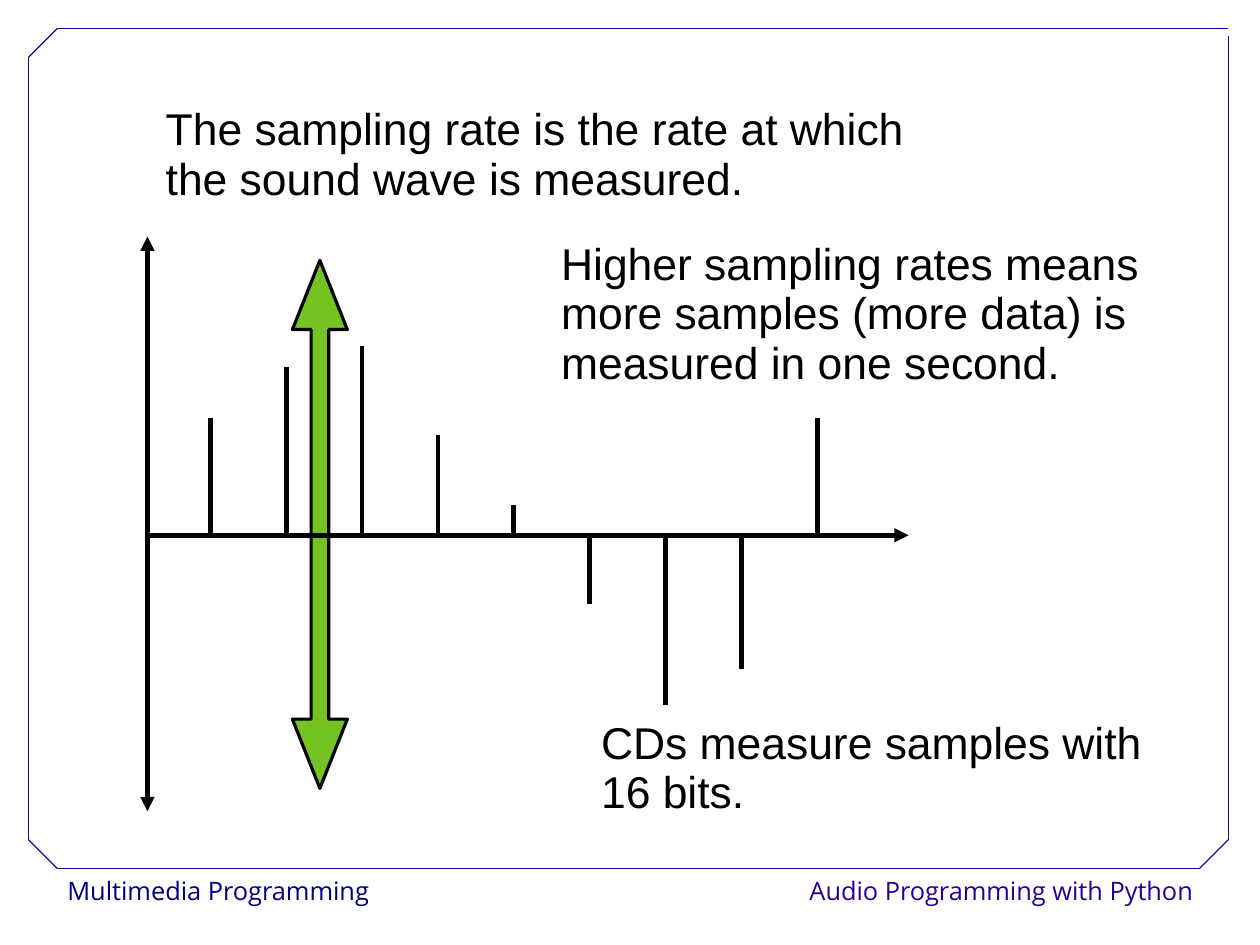
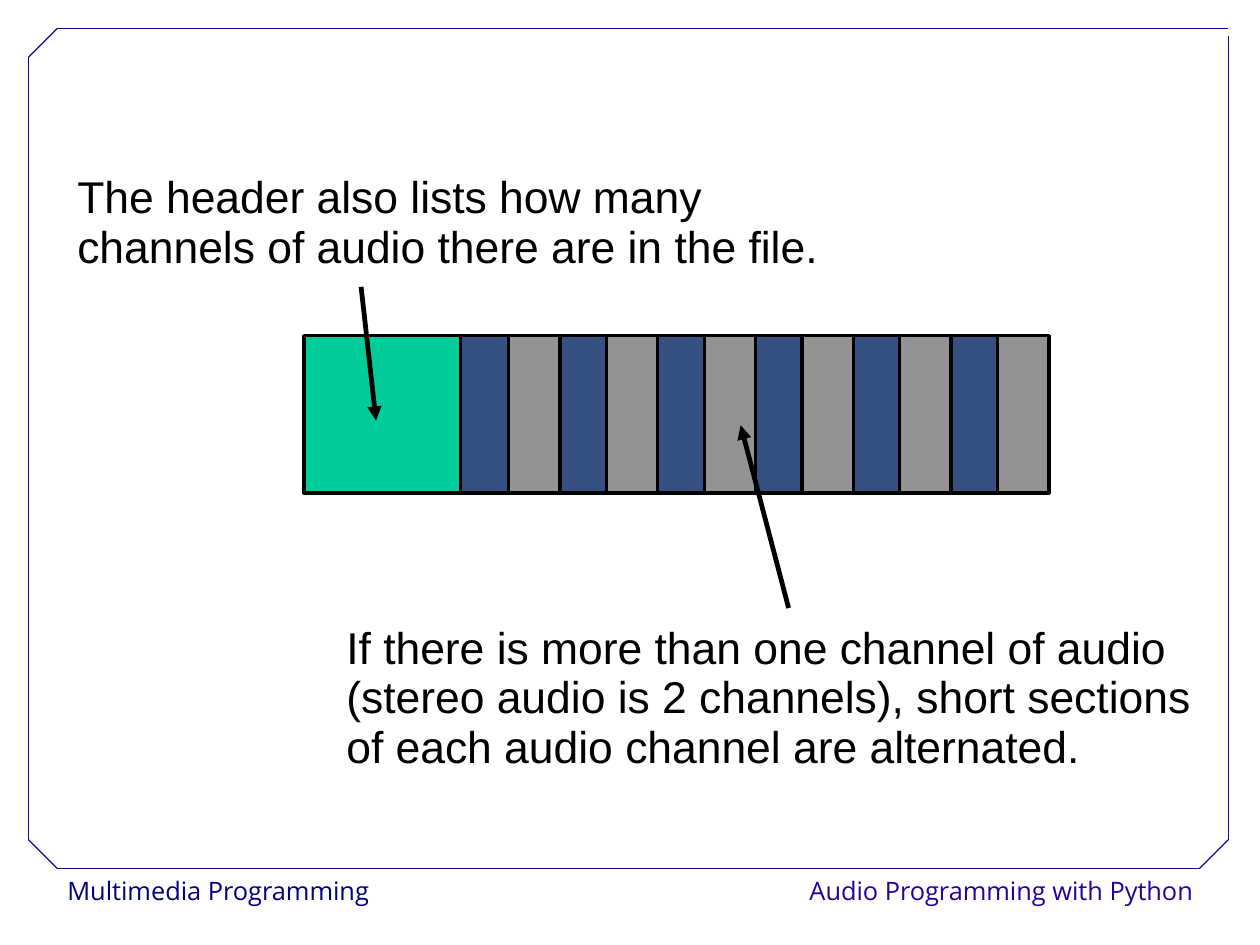
from dataclasses import dataclass
from itertools import pairwise

from lxml.etree import SubElement
from pptx import Presentation
from pptx.dml.color import RGBColor
from pptx.enum.shapes import MSO_CONNECTOR, MSO_SHAPE
from pptx.enum.text import MSO_ANCHOR, MSO_AUTO_SIZE, PP_ALIGN
from pptx.oxml.ns import qn
from pptx.util import Pt


@dataclass(frozen=True)
class Theme:
    ink: RGBColor = RGBColor.from_string("000000")
    frame: RGBColor = RGBColor.from_string("280099")
    course: RGBColor = RGBColor.from_string("000080")
    amplitude: RGBColor = RGBColor.from_string("75C223")
    header: RGBColor = RGBColor.from_string("00CC99")
    first_channel: RGBColor = RGBColor.from_string("365082")
    second_channel: RGBColor = RGBColor.from_string("939393")
    body_font: str = "Arial"
    footer_font: str = "Open Sans"
    body_size: int = 28
    footer_size: int = 16
    body_spacing: float = 0.93
    footer_spacing: float = 1.02
    frame_width: float = 0.75
    outline_width: float = 2
    line_width: float = 3


theme = Theme()


def add_line(slide, start, end, color=theme.ink, width=theme.line_width, arrows=()):
    line = slide.shapes.add_connector(
        MSO_CONNECTOR.STRAIGHT, *(Pt(value) for value in (*start, *end))
    )
    line.line.color.rgb = color
    line.line.width = Pt(width)
    properties = line.element.spPr
    for arrow in arrows:
        SubElement(properties.find(qn("a:ln")), qn(f"a:{arrow}")).set("type", "triangle")
    SubElement(properties, qn("a:effectLst"))
    return line


def write_text(shape, box, text, font=theme.body_font, size=theme.body_size,
               color=theme.ink, spacing=theme.body_spacing, align=PP_ALIGN.LEFT):
    shape.left, shape.top, shape.width, shape.height = (Pt(value) for value in box)
    frame = shape.text_frame
    frame.word_wrap = True
    frame.auto_size = MSO_AUTO_SIZE.NONE
    frame.vertical_anchor = MSO_ANCHOR.MIDDLE
    frame.margin_left = frame.margin_right = frame.margin_top = frame.margin_bottom = 0
    paragraph = frame.paragraphs[0]
    paragraph.alignment = align
    paragraph.line_spacing = spacing
    run = paragraph.add_run()
    run.text = text
    run.font.name = font
    run.font.size = Pt(size)
    run.font.color.rgb = color


presentation = Presentation()
presentation.slide_width = Pt(793.75)
presentation.slide_height = Pt(595.25)
layout = presentation.slide_layouts.get_by_name("Title Only")
sampling_slide = presentation.slides.add_slide(layout)
channel_slide = presentation.slides.add_slide(layout)

frame_corners = [(773.75, 18), (36, 18), (18, 36), (18, 529),
                 (36, 547), (755.75, 547), (773.75, 529), (773.75, 23)]
shared_shapes = [
    add_line(sampling_slide, start, end, theme.frame, theme.frame_width)
    for start, end in pairwise(frame_corners)
]
footers = [
    (42.5, "Multimedia Programming", theme.course, PP_ALIGN.LEFT),
    (491.7, "Audio Programming with Python", theme.frame, PP_ALIGN.RIGHT),
]
for left, text, color, align in footers:
    footer = sampling_slide.shapes.add_textbox(0, 0, 0, 0)
    write_text(footer, (left, 546, 260, 28.8), text, theme.footer_font,
               theme.footer_size, color, theme.footer_spacing, align)
    shared_shapes.append(footer)
for number, shape in enumerate(shared_shapes, start=20):
    shape.element.xpath(".//p:cNvPr")[0].set("id", str(number))
    layout.shapes.element.append(shape.element)

write_text(sampling_slide.shapes.title, (104.4, 63.8, 496.8, 68.4),
           "The sampling rate is the rate at which the sound wave is measured.")
sampling_notes = [
    ((353.5, 148.3, 368, 100),
     "Higher sampling rates means more samples (more data) is measured in one second."),
    ((378.7, 433, 348.5, 103), "CDs measure samples with 16 bits."),
]
for box, text in sampling_notes:
    write_text(sampling_slide.shapes.add_textbox(0, 0, 0, 0), box, text)

amplitude_arrow = sampling_slide.shapes.add_shape(
    MSO_SHAPE.LEFT_RIGHT_ARROW, Pt(35.2), Pt(313), Pt(332.6), Pt(34.6)
)
amplitude_arrow.rotation = 90
amplitude_arrow.adjustments[0] = 0.32
amplitude_arrow.adjustments[1] = 1.26
amplitude_arrow.shadow.inherit = False
amplitude_arrow.fill.solid()
amplitude_arrow.fill.fore_color.rgb = theme.amplitude
amplitude_arrow.line.color.rgb = theme.ink
amplitude_arrow.line.width = Pt(theme.outline_width)

axis_left, axis_level = 92.9, 337.2
add_line(sampling_slide, (axis_left, 149), (axis_left, 511), arrows=("headEnd", "tailEnd"))
add_line(sampling_slide, (axis_left, axis_level), (572.4, axis_level), arrows=("tailEnd",))
samples = [74.2, 105.8, 119.5, 63.4, 19.4, -43.5, -107, -84, 74.2]
for index, sample in enumerate(samples):
    sample_left = 132.5 + index * 47.8
    add_line(sampling_slide, (sample_left, axis_level - sample), (sample_left, axis_level))

write_text(channel_slide.shapes.title, (48.7, 106.6, 474.5, 68.4),
           "The header also lists how many channels of audio there are in the file.")
blocks = [(191.5, 99.4, theme.header), (290.2, 349.9, theme.first_channel)]
blocks += [(320.4 + index * 61.6, 32.4, theme.second_channel) for index in range(6)]
for left, width, color in blocks:
    block = channel_slide.shapes.add_shape(
        MSO_SHAPE.RECTANGLE, Pt(left), Pt(211.4), Pt(width), Pt(99.2)
    )
    block.shadow.inherit = False
    block.fill.solid()
    block.fill.fore_color.rgb = color
    block.line.color.rgb = theme.ink
    block.line.width = Pt(theme.outline_width)

write_text(channel_slide.shapes.add_textbox(0, 0, 0, 0), (218.2, 390.2, 559.4, 100),
           "If there is more than one channel of audio (stereo audio is 2 channels), "
           "short sections of each audio channel are alternated.")
for start, end in [((227.5, 180.7), (236.9, 265)), ((496.8, 383), (466.6, 267.8))]:
    add_line(channel_slide, start, end, arrows=("tailEnd",))

presentation.save("out.pptx")
